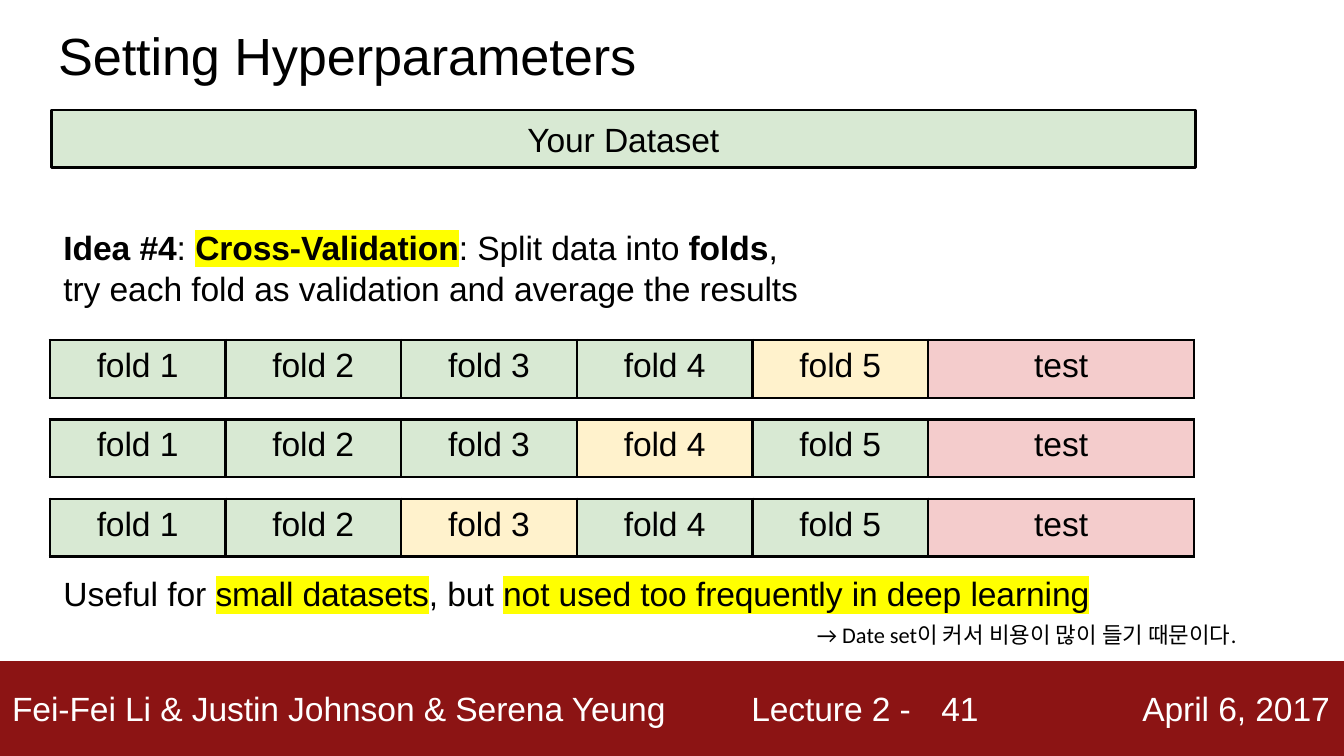
from dataclasses import dataclass

from lxml.etree import Element, SubElement
from pptx import Presentation
from pptx.dml.color import RGBColor as Color
from pptx.enum.shapes import MSO_SHAPE as Shape
from pptx.enum.text import MSO_ANCHOR as Anchor, PP_ALIGN as Align
from pptx.oxml.ns import qn
from pptx.util import Cm, Pt


@dataclass(frozen=True)
class Theme:
    font: str = "Arial"
    note_font: str = "Calibri"
    title_size: float = 28
    body_size: float = 18
    note_size: float = 12
    line_width: float = 1.5
    tracking: int = -5
    ink: str = "000000"
    paper: str = "FFFFFF"
    footer: str = "8C1414"
    train: str = "D8E9D3"
    validation: str = "FFF2CC"
    test: str = "F4CCCC"
    mark: str = "FFFF00"


def add_color(parent, tag, color):
    SubElement(SubElement(parent, qn(tag)), qn("a:srgbClr"), val=color)


def add_span(para, text, *, font, size, color, tracking=0, bold=False, mark=None):
    """Add one run of text, on a highlight when mark is a colour."""
    span = para.add_run()
    span.text = text
    span.font.name = font
    span.font.size = Pt(size)
    span.font.bold = bold
    span.font.color.rgb = Color.from_string(color)
    props = span.font._element
    if tracking:
        props.set("spc", str(tracking))
    if mark:
        highlight = Element(qn("a:highlight"))
        SubElement(highlight, qn("a:srgbClr"), val=mark)
        props.find(qn("a:solidFill")).addnext(highlight)


class PageBuilder:
    def __init__(self, page, theme):
        self.page = page
        self.theme = theme

    def add_spans(self, para, spans, **style):
        """Add a string, or (text, overrides) pairs, in the body style."""
        theme = self.theme
        base = dict(font=theme.font, size=theme.body_size, color=theme.ink,
                    tracking=theme.tracking) | style
        if isinstance(spans, str):
            spans = [(spans, {})]
        for text, overrides in spans:
            add_span(para, text, **(base | overrides))

    def text(self, spans, left, top, width, height, *, inset=(0.03, 0.06),
             line_spacing=None, **style):
        box = self.page.shapes.add_textbox(Cm(left), Cm(top), Cm(width), Cm(height))
        frame = box.text_frame
        frame.word_wrap = True
        frame.margin_left, frame.margin_top = Cm(inset[0]), Cm(inset[1])
        frame.margin_right = frame.margin_bottom = 0
        para = frame.paragraphs[0]
        if line_spacing:
            para.line_spacing = line_spacing
        self.add_spans(para, spans, **style)

    def bar(self, left, top, width, height, fill, line, line_width, label=None):
        shape = self.page.shapes.add_shape(
            Shape.RECTANGLE, Cm(left), Cm(top), Cm(width), Cm(height))
        shape.shadow.inherit = False
        shape.fill.solid()
        shape.fill.fore_color.rgb = Color.from_string(fill)
        shape.line.color.rgb = Color.from_string(line)
        shape.line.width = Pt(line_width)
        if label:
            frame = shape.text_frame
            frame.margin_top = frame.margin_bottom = 0
            frame.vertical_anchor = Anchor.MIDDLE
            frame.paragraphs[0].alignment = Align.CENTER
            self.add_spans(frame.paragraphs[0], label)

    def table_row(self, cells, left, top, widths, height):
        """Add a one-row table from (label, fill) pairs."""
        frame = self.page.shapes.add_table(
            1, len(cells), Cm(left), Cm(top), Cm(sum(widths)), Cm(height))
        table = frame.table
        table.first_row = table.horz_banding = False
        table.rows[0].height = Cm(height)
        for index, (label, fill) in enumerate(cells):
            table.columns[index].width = Cm(widths[index])
            cell = table.cell(0, index)
            cell.margin_left = cell.margin_right = cell.margin_bottom = 0
            cell.margin_top = Cm(0.13)
            self.border(cell)
            cell.fill.solid()
            cell.fill.fore_color.rgb = Color.from_string(fill)
            para = cell.text_frame.paragraphs[0]
            para.alignment = Align.CENTER
            self.add_spans(para, label)

    def border(self, cell):
        props = cell._tc.get_or_add_tcPr()
        for side in ("a:lnL", "a:lnR", "a:lnT", "a:lnB"):
            line = SubElement(props, qn(side), w=str(Pt(self.theme.line_width)))
            add_color(line, "a:solidFill", self.theme.ink)


def main():
    theme = Theme()
    deck = Presentation()
    deck.slide_width, deck.slide_height = Cm(25.4), Cm(14.29)
    builder = PageBuilder(deck.slides.add_slide(deck.slide_layouts[6]), theme)

    builder.bar(0, 12.55, 25.4, 1.74, theme.footer, theme.footer, 3)
    builder.text("Setting Hyperparameters", 1.07, 0.38, 11.02, 1.24,
                 size=theme.title_size)
    footer_items = [
        ("Fei-Fei Li & Justin Johnson & Serena Yeung", 0.2, 12.55),
        ("Lecture 2 -", 14.17, 3.1),
        ("41", 17.69, 0.95),
        ("April 6, 2017", 21.56, 3.64),
    ]
    for text, left, width in footer_items:
        builder.text(text, left, 13.03, width, 0.79, line_spacing=Pt(20.9),
                     inset=(0.1 if text == "41" else 0.03, 0), color=theme.paper)

    builder.bar(0.97, 2.08, 21.62, 1.09, theme.train, theme.ink,
                theme.line_width, "Your Dataset")

    bold, mark = {"bold": True}, {"mark": theme.mark}
    builder.text([("Idea #4", bold), (": ", {}), ("Cross-Validation", bold | mark),
                  (": Split data into ", {}), ("folds", bold),
                  (", try each fold as validation and average the results", {})],
                 1.17, 4.22, 14.02, 1.52, line_spacing=1.01)

    fold_count = 5
    widths = [3.32] * fold_count + [5.03]
    for row, held_out in enumerate((5, 4, 3)):
        cells = [(f"fold {fold}", theme.validation if fold == held_out else theme.train)
                 for fold in range(1, fold_count + 1)]
        builder.table_row(cells + [("test", theme.test)],
                          0.94, 6.43 + 1.5 * row, widths, 1.09)

    builder.text([("Useful for ", {}), ("small datasets", mark), (", but ", {}),
                  ("not used too frequently in deep learning", mark)],
                 1.17, 10.77, 19.56, 0.84)
    builder.text("→ Date set이 커서 비용이 많이 들기 때문이다.", 15.19, 11.61, 9.35, 0.76,
                 inset=(0.25, 0.13), font=theme.note_font, size=theme.note_size,
                 tracking=0)
    deck.save("out.pptx")


if __name__ == "__main__":
    main()
